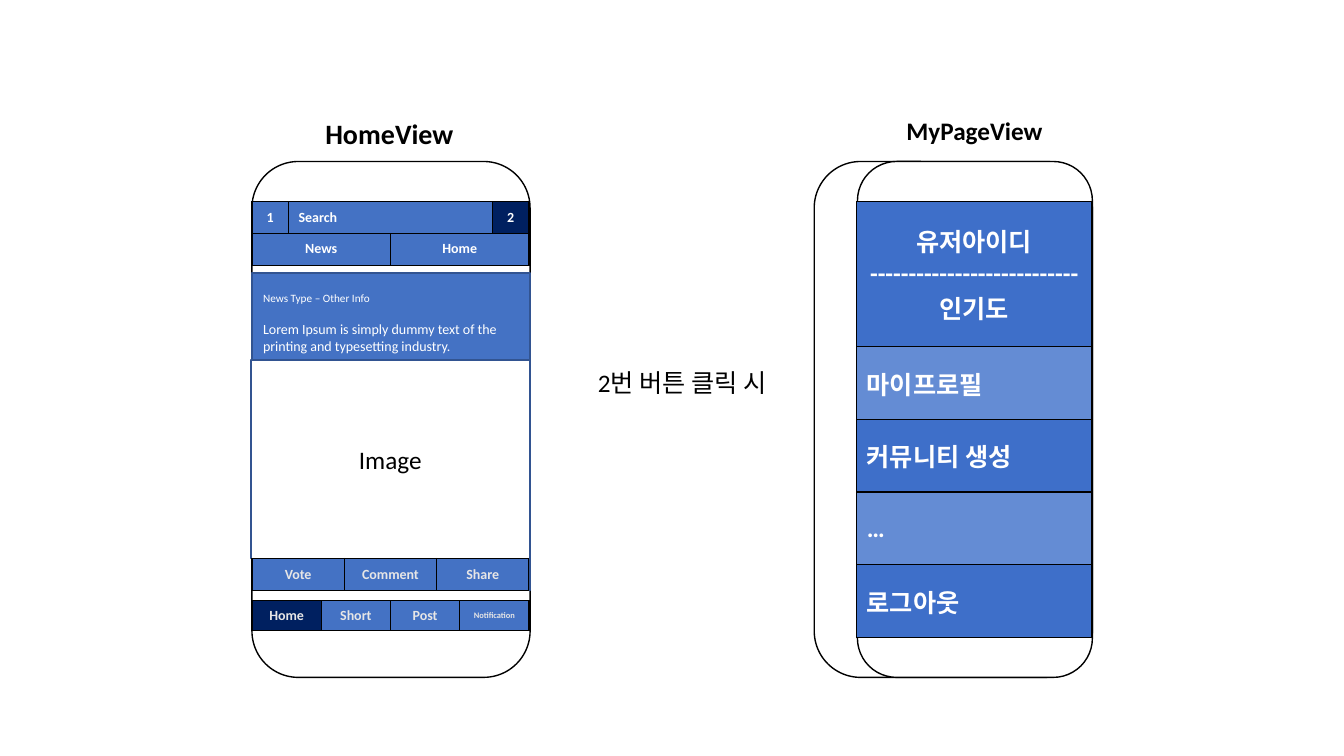
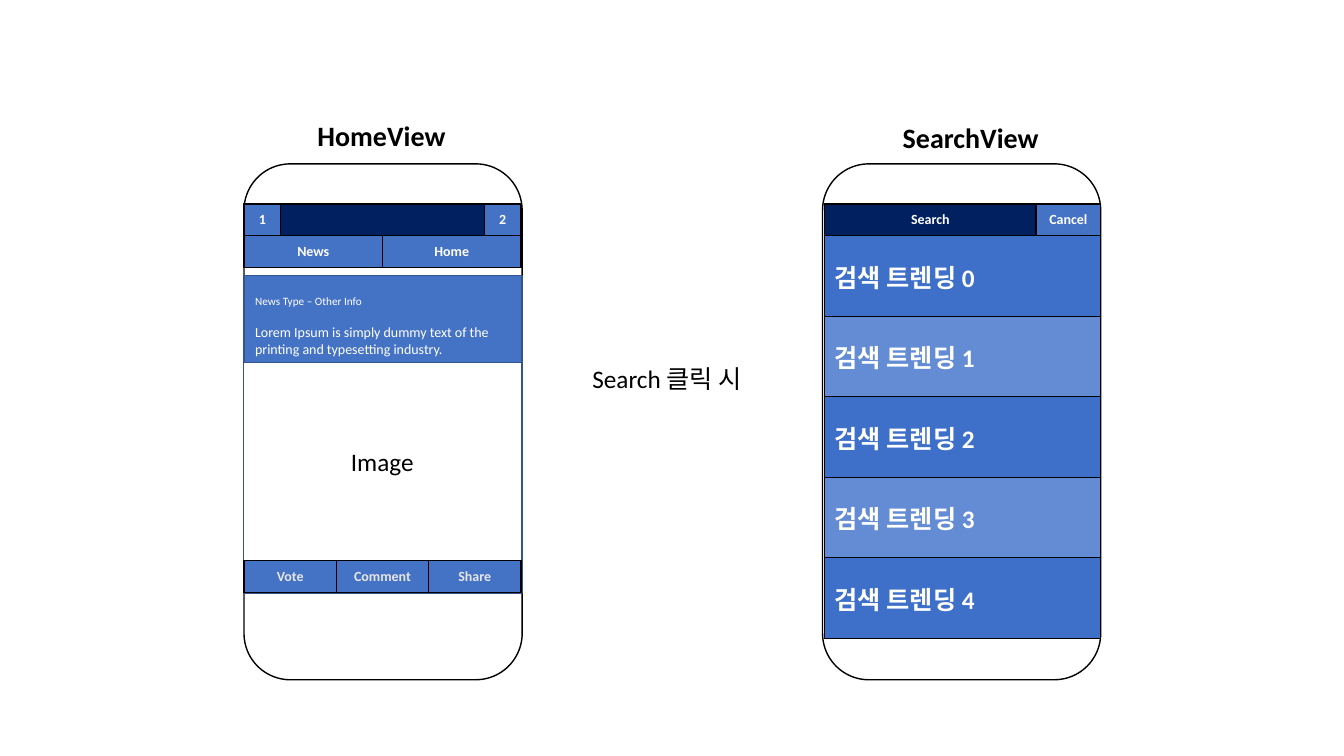
from lxml import etree
from pptx import Presentation
from pptx import util as u
from pptx.dml.color import RGBColor
from pptx.enum import shapes, text
from pptx.oxml import ns

FONT = "Calibri"
WHITE, BLACK, GREY = "FFFFFF", "000000", "E7E6E6"
BLUE, NAVY, EDGE = "4472C4", "002060", "325491"
LIST_DARK, LIST_LIGHT = "3E6FC9", "648CD4"
LEFT, CENTER = text.PP_ALIGN.LEFT, text.PP_ALIGN.CENTER
MIDDLE = text.MSO_ANCHOR.MIDDLE
PHONE_W, PHONE_H, BAR_W, BAR_H = 7.01, 13, 6.98, 0.8

TABS = ["News", "Home"]
ACTIONS = ["Vote", "Comment", "Share"]
NAVIGATION = ["Home", "Short", "Post", "Notification"]
NEWS_TYPE = "News Type – Other Info"
NEWS_TEXT = "Lorem Ipsum is simply dummy text of the printing and typesetting industry."
MY_PAGE = ["유저아이디\n" + "-" * 27 + "\n인기도", "마이프로필", "커뮤니티 생성", "…", "로그아웃"]
TRENDS = [f"검색 트렌딩 {rank}" for rank in range(5)]


def rgb(color):
    return RGBColor.from_string(color)


def write(frame, content, size, color, bold=False, align=LEFT):
    frame.text = content
    for paragraph in frame.paragraphs:
        paragraph.alignment = align
        for run in paragraph.runs:
            run.font.name = FONT
            run.font.size = u.Pt(size)
            run.font.bold = bold
            run.font.color.rgb = rgb(color)


def place(*lengths):
    return [u.Cm(length) for length in lengths]


def add_label(slide, box, content, size, color=BLACK, bold=False, align=LEFT, wrap=False):
    frame = slide.shapes.add_textbox(*place(*box)).text_frame
    write(frame, content, size, color, bold, align)
    frame.word_wrap = wrap
    frame.auto_size = text.MSO_AUTO_SIZE.SHAPE_TO_FIT_TEXT


def add_panel(slide, kind, box, fill, line):
    panel = slide.shapes.add_shape(kind, *place(*box))
    panel.shadow.inherit = False
    panel.fill.solid()
    panel.fill.fore_color.rgb = rgb(fill)
    panel.line.color.rgb = rgb(line)
    panel.line.width = u.Pt(1)
    return panel


def add_phone(slide, x, y, width=PHONE_W):
    add_panel(slide, shapes.MSO_SHAPE.ROUNDED_RECTANGLE, (x, y, width, PHONE_H), WHITE, BLACK)


def add_borders(cell):
    properties = cell._tc.get_or_add_tcPr()
    for index, side in enumerate(("a:lnL", "a:lnR", "a:lnT", "a:lnB")):
        line = etree.Element(ns.qn(side), w=str(u.Pt(1)))
        fill = etree.SubElement(line, ns.qn("a:solidFill"))
        etree.SubElement(fill, ns.qn("a:srgbClr"), val=BLACK)
        properties.insert(index, line)


def add_grid(slide, x, y, widths, heights):
    box = place(x, y, sum(widths), sum(heights))
    grid = slide.shapes.add_table(len(heights), len(widths), *box).table
    for column, width in zip(grid.columns, widths):
        column.width = u.Cm(width)
    for row, height in zip(grid.rows, heights):
        row.height = u.Cm(height)
    return grid


def fill_cell(cell, content, fill, size, color, align):
    cell.fill.solid()
    cell.fill.fore_color.rgb = rgb(fill)
    cell.margin_top = cell.margin_bottom = 0
    cell.vertical_anchor = MIDDLE
    write(cell.text_frame, content, size, color, True, align)
    add_borders(cell)


def add_bar(slide, x, y, names, widths=None, active=None, color=WHITE, height=BAR_H,
            left_aligned=None, small=None):
    widths = widths or [BAR_W / len(names)] * len(names)
    grid = add_grid(slide, x, y, widths, [height])
    for index, name in enumerate(names):
        fill_cell(grid.cell(0, index), name, NAVY if index == active else BLUE,
                  6 if index == small else 10, color, LEFT if index == left_aligned else CENTER)


def add_list(slide, x, y, width, entries, heights):
    grid = add_grid(slide, x, y, [width], heights)
    for index, entry in enumerate(entries):
        fill_cell(grid.cell(index, 0), entry, LIST_LIGHT if index % 2 else LIST_DARK,
                  18, WHITE, CENTER if "\n" in entry else LEFT)


def add_home_view(slide, x, y, search, active, navigation=False):
    rectangle = shapes.MSO_SHAPE.RECTANGLE
    add_phone(slide, x, y)
    add_label(slide, (x + 1.6, y - 1.27, 3.76, 1.12), "HomeView", 20, bold=True)
    add_bar(slide, x, y + 1.01, ["1", search, "2"], [0.92, 5.14, 0.92], active, left_aligned=1)
    add_bar(slide, x, y + 1.81, TABS)
    add_panel(slide, rectangle, (x, y + 2.81, PHONE_W, 8), BLUE, EDGE)
    add_label(slide, (x + 0.03, y + 3.15, 3.25, 0.61), NEWS_TYPE, 8, WHITE)
    add_label(slide, (x + 0.03, y + 3.89, 6.96, 1.12), NEWS_TEXT, 10, WHITE, wrap=True)
    photo = add_panel(slide, rectangle, (x - 0.02, y + 5, PHONE_W, 5), WHITE, EDGE)
    write(photo.text_frame, "Image", 18, BLACK, align=CENTER)
    photo.text_frame.vertical_anchor = MIDDLE
    add_bar(slide, x, y + 10, ACTIONS, color=GREY)
    if navigation:
        add_bar(slide, x, y + 11.07, NAVIGATION, active=0, color=GREY, height=0.74, small=3)


deck = Presentation()
deck.slide_width, deck.slide_height = place(33.87, 19.05)
my_page, search_page = [deck.slides.add_slide(deck.slide_layouts[6]) for _ in range(2)]

add_home_view(my_page, 6.35, 4.07, "Search", active=2, navigation=True)
add_label(my_page, (14.63, 9.14, 5.13, 1.02), "2번 버튼 클릭 시", 18, align=CENTER)
add_phone(my_page, 20.52, 4.07)
add_phone(my_page, 21.61, 4.07, 5.92)
add_list(my_page, 21.59, 5.08, 5.92, MY_PAGE, [3.66] + [1.83] * 4)
add_label(my_page, (22.45, 2.79, 4.22, 1.02), "MyPageView", 18, bold=True, align=CENTER, wrap=True)

add_home_view(search_page, 6.15, 4.13, "", active=1)
add_label(search_page, (14.68, 9.02, 4.47, 1.02), "Search 클릭 시", 18)
add_phone(search_page, 20.73, 4.13)
add_bar(search_page, 20.78, 5.14, ["Search", "Cancel"], [5.33, 1.63], active=0)
add_list(search_page, 20.78, 5.94, 6.96, TRENDS, [2.03] * 5)
add_label(search_page, (22.5, 2.92, 4.14, 1.12), "SearchView", 20, bold=True)

deck.save("out.pptx")
